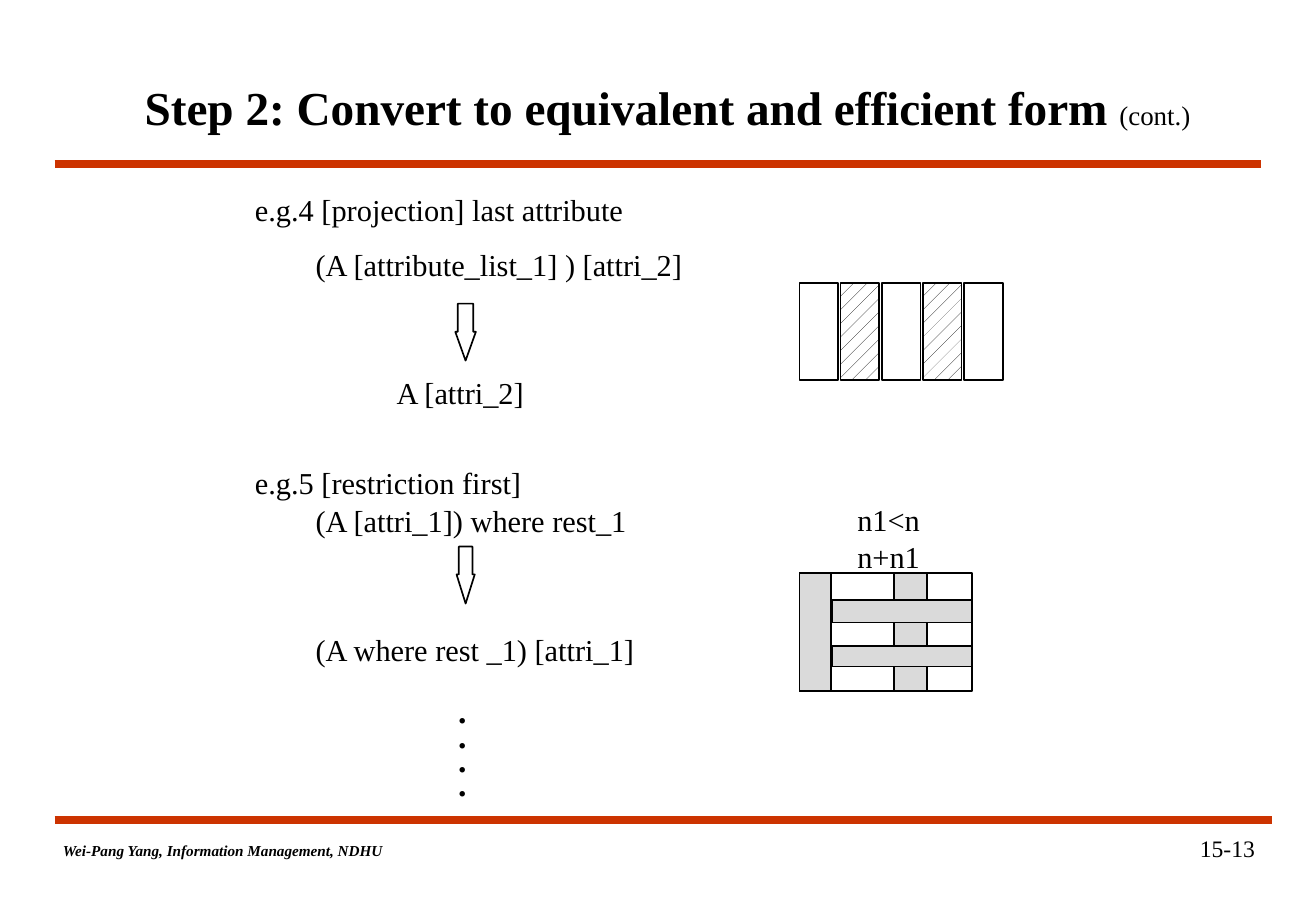
"""Build a slide on converting queries to an equivalent and efficient form."""
import pptx
import pptx.dml.color
import pptx.enum.dml
import pptx.enum.shapes
import pptx.enum.text
import pptx.oxml.ns
import pptx.util
from lxml import etree

Pt = pptx.util.Pt
RGBColor = pptx.dml.color.RGBColor
Align = pptx.enum.text.PP_ALIGN
Shape = pptx.enum.shapes.MSO_SHAPE

BLACK = RGBColor(0x00, 0x00, 0x00)
WHITE = RGBColor(0xFF, 0xFF, 0xFF)
RULE_RED = RGBColor(0xCC, 0x33, 0x00)
GREY = RGBColor(0xDA, 0xDA, 0xDA)
FONT = "Times New Roman"

DIAGRAM_LEFT = 473.8
COLUMN_STEP = 24.4
GRID_TOP = 339.8

EXAMPLES = [
    ("e.g.4 [projection] last attribute", 0, 0),
    ("(A [attribute_list_1] ) [attri_2]", 36, 11.3),
    ("A [attri_2]", 84, 54),
    ("e.g.5 [restriction first]", 0, 32),
    ("(A [attri_1]) where rest_1", 36, 1),
    ("(A where rest _1) [attri_1]", 36, 54.5),
]


def write(paragraph, text, size=18, bold=False, italic=False,
          align=Align.LEFT, indent=0, before=0, spacing=1.0):
    paragraph.alignment = align
    paragraph.space_before = Pt(before)
    paragraph.line_spacing = spacing
    if indent:
        paragraph._p.get_or_add_pPr().set("marL", str(Pt(indent)))
    run = paragraph.add_run()
    run.text = text
    run.font.name = FONT
    run.font.size = Pt(size)
    run.font.bold = bold
    run.font.italic = italic
    run.font.color.rgb = BLACK


def add_text_box(slide, left, top, width, height, lines, **text_format):
    shape = slide.shapes.add_textbox(Pt(left), Pt(top), Pt(width), Pt(height))
    frame = shape.text_frame
    frame.word_wrap = True
    for index, (text, indent, before) in enumerate(lines):
        paragraph = frame.add_paragraph() if index else frame.paragraphs[0]
        write(paragraph, text, indent=indent, before=before, **text_format)


def add_title(slide):
    title = slide.shapes.title
    title.left, title.top = Pt(71.3), Pt(30.2)
    title.width, title.height = Pt(648.7), Pt(66.2)
    frame = title.text_frame
    frame.auto_size = pptx.enum.text.MSO_AUTO_SIZE.NONE
    frame.vertical_anchor = pptx.enum.text.MSO_ANCHOR.MIDDLE
    paragraph = frame.paragraphs[0]
    write(paragraph, "Step 2: Convert to equivalent and efficient form ",
          size=28, bold=True, align=Align.CENTER)
    write(paragraph, "(cont.)", size=16, align=Align.CENTER)


def add_rule(slide, top, right):
    connector = slide.shapes.add_connector(
        pptx.enum.shapes.MSO_CONNECTOR.STRAIGHT, Pt(32.4), Pt(top), Pt(right), Pt(top))
    connector.line.color.rgb = RULE_RED
    connector.line.width = Pt(4.5)
    etree.SubElement(connector._element.spPr, pptx.oxml.ns.qn("a:effectLst"))


def add_outlined(slide, kind, left, top, width, height, fill=None):
    shape = slide.shapes.add_shape(kind, Pt(left), Pt(top), Pt(width), Pt(height))
    shape.shadow.inherit = False
    shape.line.color.rgb = BLACK
    shape.line.width = Pt(1)
    if fill is None:
        shape.fill.background()
    else:
        shape.fill.solid()
        shape.fill.fore_color.rgb = fill
    return shape


def add_down_arrow(slide, top, width, head):
    arrow = add_outlined(slide, Shape.DOWN_ARROW, 276 - width / 2, top, width, 33.8)
    arrow.adjustments[0] = 0.75
    arrow.adjustments[1] = head


def add_projection_diagram(slide):
    for index in range(5):
        column = add_outlined(slide, Shape.RECTANGLE,
                              DIAGRAM_LEFT + index * COLUMN_STEP, 167.8, 23, 57.6)
        if index % 2:
            column.fill.patterned()
            column.fill.pattern = pptx.enum.dml.MSO_PATTERN.PERCENT_10
            column.fill.fore_color.rgb = BLACK
            column.fill.back_color.rgb = WHITE


def add_restriction_diagram(slide):
    bars = [
        (0, 0, 102.2, 69.8, None),
        (0, 0, 18.7, 69.8, GREY),
        (56.2, 0, 19.4, 69.8, GREY),
        (19.4, 15.9, 82.8, 13.3, GREY),
        (19.4, 43.2, 82.8, 12.2, GREY),
    ]
    for left, top, width, height, fill in bars:
        add_outlined(slide, Shape.RECTANGLE, DIAGRAM_LEFT + left,
                     GRID_TOP + top, width, height, fill)


def main():
    presentation = pptx.Presentation()
    presentation.slide_width = Pt(780)
    presentation.slide_height = Pt(540)
    slide = presentation.slides.add_slide(presentation.slide_layouts[5])

    add_rule(slide, 97.2, 747.4)
    add_rule(slide, 486, 753.8)
    add_title(slide)
    add_text_box(slide, 144, 109.5, 320, 340, EXAMPLES)
    add_down_arrow(slide, 180, 12.2, 1.4)
    add_projection_diagram(slide)
    add_down_arrow(slide, 324, 10.8, 1.6)
    add_text_box(slide, 496.7, 293.8, 60, 50,
                 [("n1<n", 0, 0), ("n+n1", 0, 0)], align=Align.CENTER)
    add_restriction_diagram(slide)
    add_text_box(slide, 264, 414, 20, 65, [(".", 0, 0)] * 4,
                 size=20, bold=True, align=Align.CENTER, spacing=0.6)
    add_text_box(slide, 30.2, 495.4, 232.6, 18,
                 [("Wei-Pang Yang, Information Management, NDHU", 0, 0)],
                 size=9, bold=True, italic=True)
    add_text_box(slide, 588.2, 491, 162.8, 36, [("15-13", 0, 0)],
                 size=14, align=Align.RIGHT)
    presentation.save("out.pptx")


if __name__ == "__main__":
    main()
